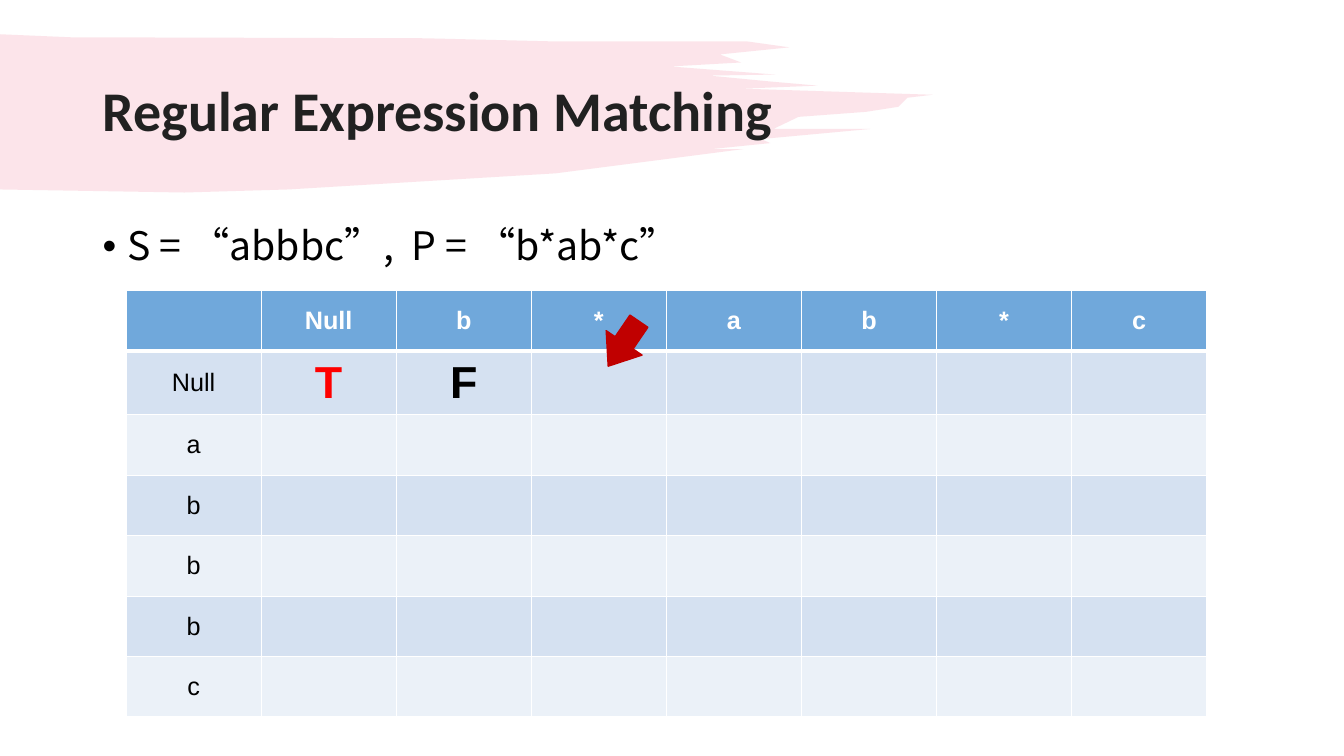
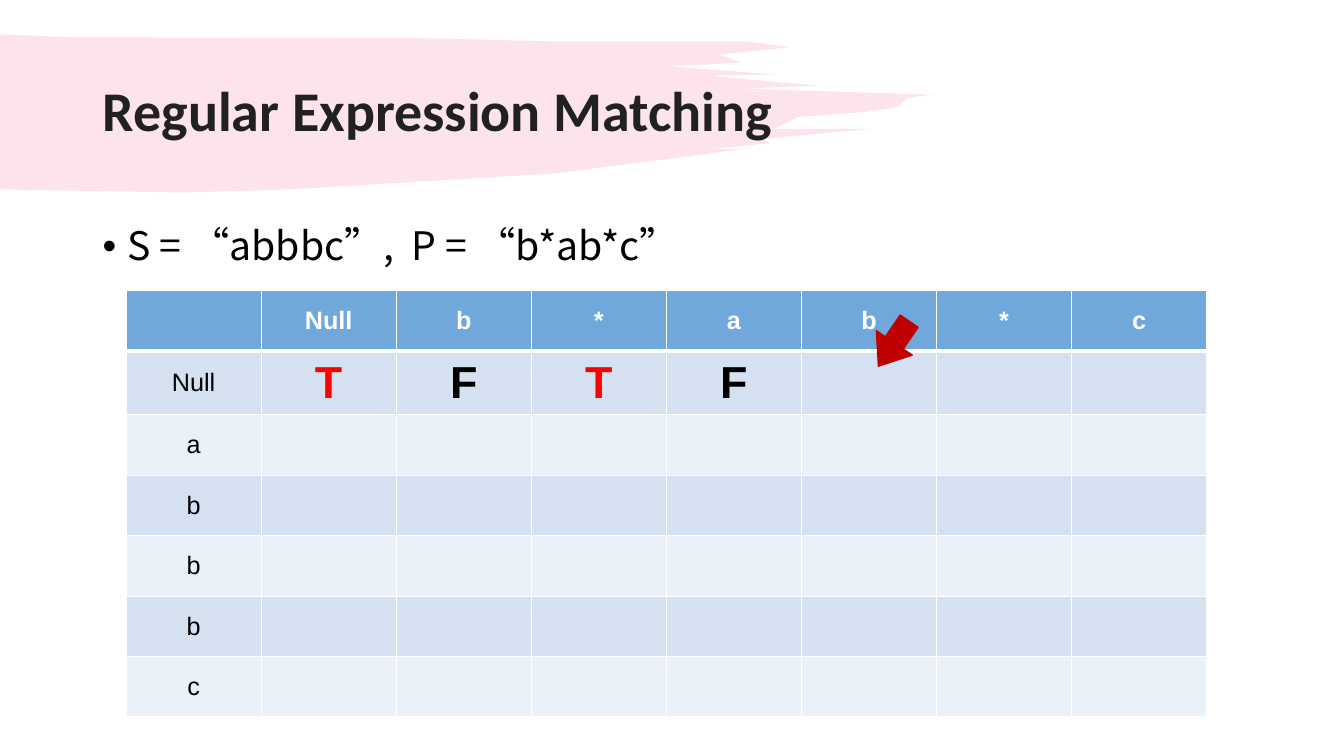
from lxml import etree
from pptx import Presentation
from pptx.dml.color import RGBColor
from pptx.enum import shapes, text
from pptx.oxml import ns
from pptx.util import Inches, Pt

TITLE = "Regular Expression Matching"
STRINGS = "S = “abbbc”,  P = “b*ab*c”"
PATTERN = ["", "Null", "b", "*", "a", "b", "*", "c"]
SUBJECT = ["Null", "a", "b", "b", "b", "c"]
# Results known so far in the first row; the arrow points at the next cell.
STEPS = ["TF", "TFTF"]

WHITE = RGBColor(0xFF, 0xFF, 0xFF)
BLACK = RGBColor(0x00, 0x00, 0x00)
CHARCOAL = RGBColor(0x21, 0x21, 0x21)
PINK = RGBColor(0xF0, 0x7C, 0x98)
HEADER_BLUE = RGBColor(0x70, 0xA8, 0xDB)
BAND_BLUES = [RGBColor(0xD5, 0xE1, 0xF1), RGBColor(0xEB, 0xF1, 0xF8)]
ARROW_RED = RGBColor(0xC0, 0x00, 0x00)
RESULT_COLORS = {"T": RGBColor(0xFF, 0x00, 0x00), "F": BLACK}

SLIDE_WIDTH, SLIDE_HEIGHT = 13.33, 7.5
MARGIN, CONTENT_WIDTH = 0.92, 11.5
TABLE_LEFT, TABLE_TOP = 1.25, 2.88
COLUMN_WIDTH, ROW_HEIGHT = 1.34, 0.6

# Corners of the brush stroke: along the top, down the ragged tip, back below.
BRUSH = [
    (0, 0.34), (0.7, 0.37), (4.21, 0.38), (5.44, 0.41), (7.4, 0.41), (7.83, 0.47),
    (7.14, 0.54), (7.35, 0.62), (6.65, 0.66), (7.69, 0.74), (7.03, 0.75),
    (7.65, 0.81), (8.11, 0.85), (7.36, 0.88), (9.25, 0.94), (9, 0.97),
    (8.91, 1.06), (8.59, 1.11), (7.92, 1.16), (7.67, 1.28), (8.63, 1.28),
    (7.55, 1.38), (7.64, 1.42), (7.05, 1.48), (7.37, 1.48), (5.51, 1.72),
    (2.86, 1.88), (1.83, 1.91), (0, 1.88),
]


def add_brush(slide):
    start, *corners = [(Inches(x), Inches(y)) for x, y in BRUSH]
    builder = slide.shapes.build_freeform(*start)
    builder.add_line_segments(corners, close=True)
    brush = builder.convert_to_shape()
    brush.shadow.inherit = False
    brush.fill.solid()
    brush.fill.fore_color.rgb = PINK
    brush.line.fill.background()
    color = brush.element.spPr.find(".//" + ns.qn("a:srgbClr"))
    etree.SubElement(color, ns.qn("a:alpha"), val="20000")
    return brush


def place(shape, left, top, width, height):
    shape.left, shape.top = Inches(left), Inches(top)
    shape.width, shape.height = Inches(width), Inches(height)


def set_font(paragraph, name, size, color, bold=False):
    font = paragraph.font
    font.name, font.size, font.bold = name, Pt(size), bold
    font.color.rgb = color


def add_title(slide):
    title = slide.shapes.title
    place(title, MARGIN, 0.4, CONTENT_WIDTH, 1.45)
    title.text_frame.text = TITLE
    title.text_frame.vertical_anchor = text.MSO_ANCHOR.MIDDLE
    paragraph = title.text_frame.paragraphs[0]
    paragraph.alignment = text.PP_ALIGN.LEFT
    paragraph.line_spacing = 0.9
    set_font(paragraph, "Calibri", 40, CHARCOAL, bold=True)


def add_strings(slide):
    box = slide.shapes.add_textbox(Inches(MARGIN), Inches(2.2), Inches(CONTENT_WIDTH), Inches(0.65))
    box.text_frame.word_wrap = True
    paragraph = box.text_frame.paragraphs[0]
    paragraph.text = STRINGS
    paragraph.line_spacing = 0.9
    properties = paragraph._p.get_or_add_pPr()
    properties.set("marL", str(Inches(0.25)))
    properties.set("indent", str(Inches(-0.25)))
    etree.SubElement(properties, ns.qn("a:buFont"), typeface="Arial")
    etree.SubElement(properties, ns.qn("a:buChar"), char="•")
    font_name = "Noto Sans CJK TC"
    set_font(paragraph, font_name, 28, BLACK)
    run_properties = paragraph.runs[0]._r.get_or_add_rPr()
    for tag in ("a:latin", "a:ea"):
        etree.SubElement(run_properties, ns.qn(tag), typeface=font_name)


def set_borders(cell, top, bottom):
    """Draw white borders; top and bottom are widths in points."""
    properties = cell._tc.get_or_add_tcPr()
    for index, (side, width) in enumerate([("L", 1), ("R", 1), ("T", top), ("B", bottom)]):
        line = etree.Element(ns.qn("a:ln" + side), w=str(Pt(width)))
        fill = etree.SubElement(line, ns.qn("a:solidFill"))
        etree.SubElement(fill, ns.qn("a:srgbClr"), val=str(WHITE))
        properties.insert(index, line)


def add_match_table(slide, results):
    rows = [PATTERN] + [[label] for label in SUBJECT]
    rows[1] = rows[1] + list(results)
    frame = slide.shapes.add_table(
        len(rows), len(PATTERN), Inches(TABLE_LEFT), Inches(TABLE_TOP),
        Inches(COLUMN_WIDTH * len(PATTERN)), Inches(ROW_HEIGHT * len(rows)))
    table = frame.table
    for column in table.columns:
        column.width = Inches(COLUMN_WIDTH)
    for r, values in enumerate(rows):
        table.rows[r].height = Inches(ROW_HEIGHT)
        for c in range(len(PATTERN)):
            cell = table.cell(r, c)
            cell.fill.solid()
            cell.fill.fore_color.rgb = BAND_BLUES[(r - 1) % 2] if r else HEADER_BLUE
            set_borders(cell, top=3 if r == 1 else 1, bottom=1 if r else 3)
            cell.vertical_anchor = text.MSO_ANCHOR.MIDDLE
            value = values[c] if c < len(values) else ""
            if not value:
                continue
            cell.text = value
            paragraph = cell.text_frame.paragraphs[0]
            paragraph.alignment = text.PP_ALIGN.CENTER
            if r and c:
                set_font(paragraph, "Arial", 32, RESULT_COLORS[value], bold=True)
            else:
                set_font(paragraph, "Arial", 18, BLACK if r else WHITE, bold=r == 0)


def add_arrow(slide, column):
    left = TABLE_LEFT + column * COLUMN_WIDTH + 0.7
    arrow = slide.shapes.add_shape(
        shapes.MSO_SHAPE.DOWN_ARROW, Inches(left), Inches(3.14), Inches(0.43), Inches(0.54))
    # The first adjustment is the shaft's width, the second the head's length.
    arrow.adjustments[0], arrow.adjustments[1] = 0.5, 0.65
    arrow.rotation = 34.3
    arrow.shadow.inherit = False
    arrow.fill.solid()
    arrow.fill.fore_color.rgb = ARROW_RED
    arrow.line.color.rgb = ARROW_RED
    arrow.line.width = Pt(1)


def main():
    presentation = Presentation()
    presentation.slide_width = Inches(SLIDE_WIDTH)
    presentation.slide_height = Inches(SLIDE_HEIGHT)
    layout = presentation.slide_layouts.get_by_name("Title Only")
    for number, results in enumerate(STEPS):
        slide = presentation.slides.add_slide(layout)
        if number == 0:
            # The layout carries the brush, behind its placeholders.
            layout.shapes.element.insert(2, add_brush(slide).element)
        add_title(slide)
        add_strings(slide)
        add_match_table(slide, results)
        add_arrow(slide, column=len(results) + 1)
    presentation.save("out.pptx")


if __name__ == "__main__":
    main()
